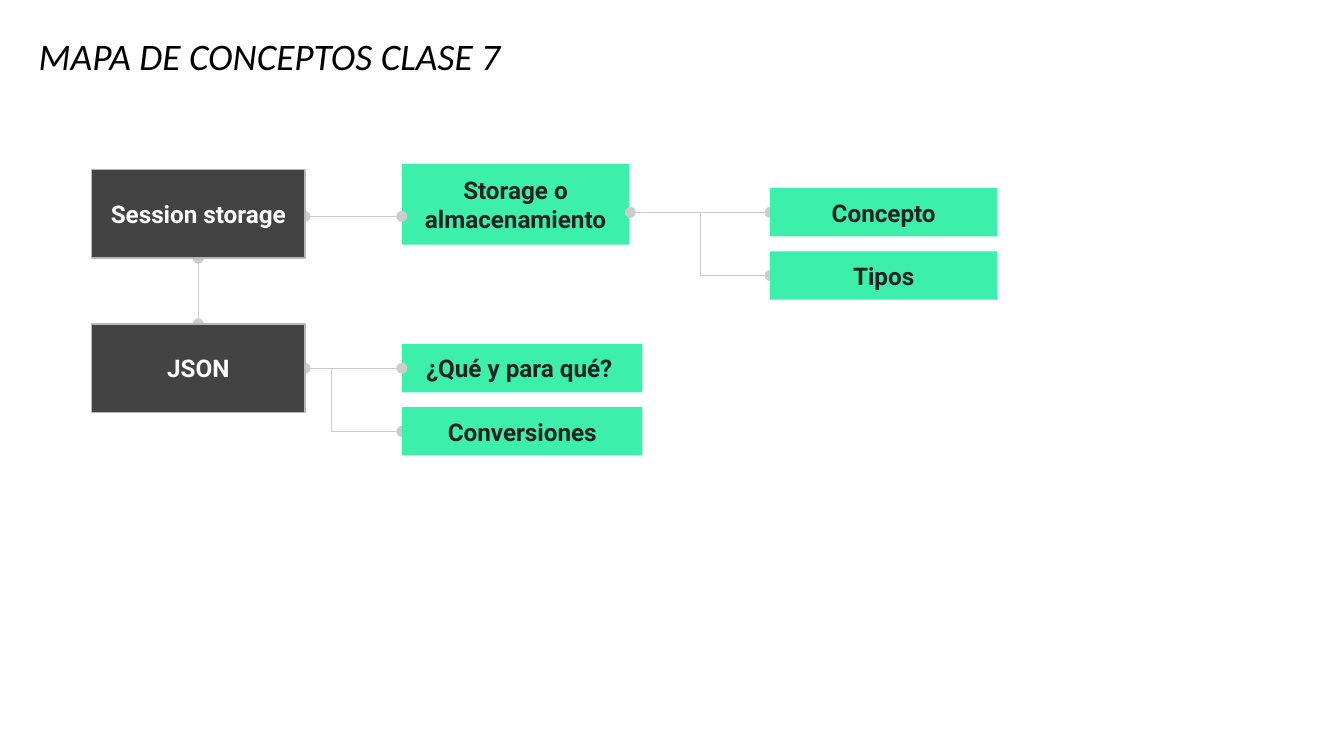
from pptx import Presentation
from pptx.dml.color import RGBColor
from pptx.enum.shapes import MSO_CONNECTOR as LINK, MSO_SHAPE as SHAPE
from pptx.enum.text import MSO_ANCHOR as ANCHOR, PP_ALIGN as ALIGN
from pptx.oxml.xmlchemy import OxmlElement
from pptx.util import Inches, Pt

SLIDE_WIDTH = 10
SLIDE_HEIGHT = SLIDE_WIDTH * 9 / 16
COLORS = {"dark": "434343", "border": "B7B7B7", "green": "3CEFAB",
          "link": "CCCCCC", "ink": "222222", "white": "FFFFFF", "black": "000000"}
TITLE = "MAPA DE CONCEPTOS CLASE 7"
COLUMNS = [0.68, 2.99, 5.73]
TOPIC = (1.59, 0.66)
LEAF_HEIGHT = 0.36
LEAF_STEP = 0.47
CONCEPT_TOP, JSON_TOP = 1.40, 2.56
TOP, LEFT, BOTTOM, RIGHT = range(4)

BOXES = {
    "storage": ("Storage o almacenamiento", 1, 1.22, (1.69, 0.6), "green"),
    "purpose": ("¿Qué y para qué? ", 1, JSON_TOP, (1.79, LEAF_HEIGHT), "green"),
    "concept": ("Concepto", 2, CONCEPT_TOP, (1.69, LEAF_HEIGHT), "green"),
    "types": ("Tipos", 2, CONCEPT_TOP + LEAF_STEP, (1.69, LEAF_HEIGHT), "green"),
    "conversions": ("Conversiones", 1, JSON_TOP + LEAF_STEP, (1.79, LEAF_HEIGHT), "green"),
    "session": ("Session storage", 0, 1.26, TOPIC, "dark"),
    "json": ("JSON", 0, 2.41, TOPIC, "dark"),
}
BEHIND_LINKS = ("storage", "purpose")

CONCEPT_MID = CONCEPT_TOP + LEAF_HEIGHT / 2
JSON_MID = JSON_TOP + LEAF_HEIGHT / 2
TOPIC_RIGHT = COLUMNS[0] + TOPIC[0]
TOPIC_MID = COLUMNS[0] + TOPIC[0] / 2
LINKS = [
    ((TOPIC_RIGHT, 1.61), (COLUMNS[1], 1.61), None, None),
    ((TOPIC_MID, 1.92), (TOPIC_MID, 2.41), ("session", BOTTOM), ("json", TOP)),
    ((4.69, CONCEPT_MID), (COLUMNS[2], CONCEPT_MID), None, ("concept", LEFT)),
    ((TOPIC_RIGHT, JSON_MID), (COLUMNS[1], JSON_MID), ("json", RIGHT), ("purpose", LEFT)),
    ((4.69, CONCEPT_MID), (COLUMNS[2], CONCEPT_MID + LEAF_STEP), None, None),
    ((1.94, JSON_MID), (COLUMNS[1], JSON_MID + LEAF_STEP), None, None),
]


def color(name):
    return RGBColor.from_string(COLORS[name])


def write(box, text, font_name, size, ink, anchor, align):
    frame = box.text_frame
    frame.word_wrap = True
    frame.vertical_anchor = anchor
    frame.margin_left = frame.margin_right = Inches(0.1)
    frame.margin_top = frame.margin_bottom = Inches(0.1)
    frame.text = text
    para = frame.paragraphs[0]
    para.alignment = align
    font = para.runs[0].font
    font.name, font.size = font_name, Pt(size)
    font.color.rgb = color(ink)
    return font


def add_box(page, text, column, top, size, fill):
    box = page.shapes.add_shape(SHAPE.RECTANGLE, Inches(COLUMNS[column]), Inches(top),
                                *map(Inches, size))
    box.shadow.inherit = False
    box.fill.solid()
    box.fill.fore_color.rgb = color(fill)
    is_topic = fill == "dark"
    if is_topic:
        box.line.color.rgb = color("border")
        box.line.width = Pt(0.75)
    else:
        box.line.fill.background()
    font = write(box, text, "Roboto", 13, "white" if is_topic else "ink",
                 ANCHOR.MIDDLE, ALIGN.CENTER)
    font.bold = True
    return box


def add_link(page, boxes, start, end, start_join, end_join):
    straight = start[0] == end[0] or start[1] == end[1]
    link = page.shapes.add_connector(LINK.STRAIGHT if straight else LINK.ELBOW,
                                     *map(Inches, start + end))
    if start_join:
        link.begin_connect(boxes[start_join[0]], start_join[1])
    if end_join:
        link.end_connect(boxes[end_join[0]], end_join[1])
    link.line.color.rgb = color("link")
    link.line.width = Pt(0.75)
    outline = link.line._get_or_add_ln()
    for tag in ("a:headEnd", "a:tailEnd") if straight else ("a:tailEnd",):
        tip = OxmlElement(tag)
        tip.set("type", "oval")
        outline.append(tip)
    link._element.spPr.append(OxmlElement("a:effectLst"))


def main():
    deck = Presentation()
    deck.slide_width, deck.slide_height = Inches(SLIDE_WIDTH), Inches(SLIDE_HEIGHT)
    page = deck.slides.add_slide(deck.slide_layouts[6])

    title = page.shapes.add_textbox(*map(Inches, (0.19, 0.22, 8.26, 0.46)))
    font = write(title, TITLE, "Calibri", 20, "black", ANCHOR.BOTTOM, ALIGN.LEFT)
    font.italic = True

    boxes = {name: add_box(page, *content) for name, content in BOXES.items()}
    for link in LINKS:
        add_link(page, boxes, *link)
    for name, box in boxes.items():
        if name not in BEHIND_LINKS:
            page.shapes._spTree.append(box._element)

    deck.save("out.pptx")


if __name__ == "__main__":
    main()
